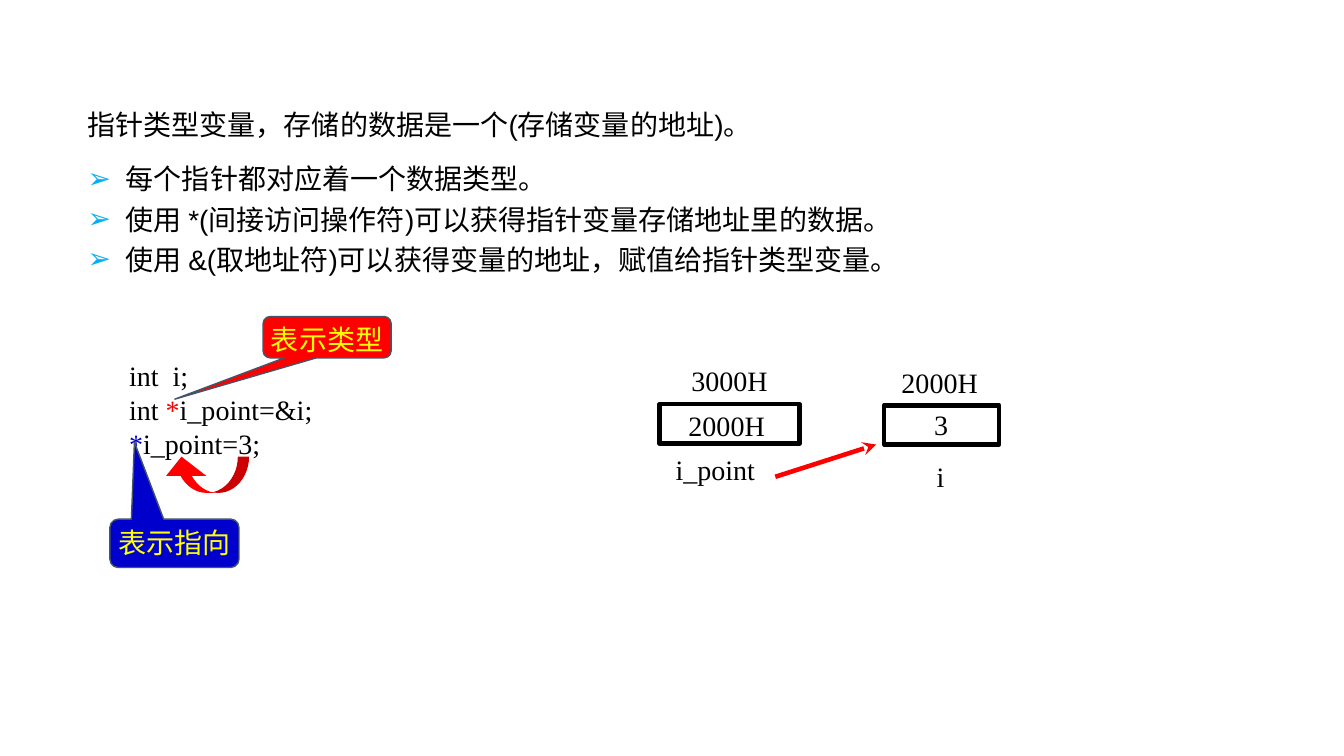
from dataclasses import dataclass

from lxml import etree
from pptx import Presentation
from pptx import util as u
from pptx.dml.color import RGBColor
from pptx.enum import shapes, text
from pptx.oxml import ns

COLORS = {
    "black": "000000",
    "red": "FF0000",
    "blue": "0000CC",
    "yellow": "FFFF00",
    "slate": "44546A",
    "sky": "00B0F0",
}
SERIF, SANS = "Times New Roman", "Arial"
TIGHT, ROOMY = (0.02, 0.01), (0.1, 0.05)
CENTER, LEFT = text.PP_ALIGN.CENTER, text.PP_ALIGN.LEFT


@dataclass
class Run:
    words: str
    color: str = "black"


@dataclass
class Para:
    runs: list[Run]
    bullet: bool = False
    before: float = 0


@dataclass
class Label:
    box: tuple[float, float, float, float]
    paras: list[Para]
    align: text.PP_ALIGN = LEFT
    spacing: float = 1.1
    inset: tuple[float, float] = TIGHT
    font: str = SERIF


@dataclass
class Callout:
    box: tuple[float, float, float, float]
    words: str
    fill: str
    tip: tuple[float, float]


def rgb(name: str) -> RGBColor:
    return RGBColor.from_string(COLORS[name])


def line_of(*words: str) -> list[Para]:
    return [Para([Run(w)]) for w in words]


def add_bullet(p) -> None:
    pPr = p._p.get_or_add_pPr()
    pPr.set("marL", str(u.Inches(0.38)))
    pPr.set("indent", str(u.Inches(-0.38)))
    color = etree.SubElement(pPr, ns.qn("a:buClr"))
    etree.SubElement(color, ns.qn("a:srgbClr")).set("val", COLORS["sky"])
    etree.SubElement(pPr, ns.qn("a:buFont")).set("typeface", SANS)
    etree.SubElement(pPr, ns.qn("a:buChar")).set("char", "➢")


def fill_text(sp, label: Label) -> None:
    tf = sp.text_frame
    tf.word_wrap = True
    tf.vertical_anchor = text.MSO_ANCHOR.TOP
    tf.margin_left = tf.margin_right = u.Inches(label.inset[0])
    tf.margin_top = tf.margin_bottom = u.Inches(label.inset[1])
    for i, para in enumerate(label.paras):
        p = tf.add_paragraph() if i else tf.paragraphs[0]
        if para.bullet:
            add_bullet(p)
        p.alignment = label.align
        p.line_spacing = label.spacing
        if para.before:
            p.space_before = u.Pt(para.before)
        for run in para.runs:
            r = p.add_run()
            r.text = run.words
            r.font.size = u.Pt(20)
            r.font.name = label.font
            r.font.color.rgb = rgb(run.color)


def add_label(s, label: Label) -> None:
    fill_text(s.shapes.add_textbox(*map(u.Inches, label.box)), label)


def add_figure(s, kind, box, fill: str = "", line: str = "", width: float = 1):
    sp = s.shapes.add_shape(kind, *map(u.Inches, box))
    sp.shadow.inherit = False
    if fill:
        sp.fill.solid()
        sp.fill.fore_color.rgb = rgb(fill)
    else:
        sp.fill.background()
    if line:
        sp.line.color.rgb = rgb(line)
        sp.line.width = u.Pt(width)
    else:
        sp.line.fill.background()
    return sp


def set_adjustments(sp, values) -> None:
    for i, value in enumerate(values):
        sp.adjustments[i] = value


def add_callout(s, c: Callout) -> None:
    kind = shapes.MSO_SHAPE.ROUNDED_RECTANGULAR_CALLOUT
    sp = add_figure(s, kind, c.box, c.fill, "slate")
    set_adjustments(sp, (*c.tip, 0.17))
    fill_text(sp, Label(c.box, [Para([Run(c.words, "yellow")])], CENTER))


def add_pointer_arrow(s) -> None:
    ends = map(u.Inches, (7.69, 4.73, 8.69, 4.41))
    cx = s.shapes.add_connector(shapes.MSO_CONNECTOR.STRAIGHT, *ends)
    cx.line.color.rgb = rgb("red")
    cx.line.width = u.Pt(3.25)
    etree.SubElement(cx.line._get_or_add_ln(), ns.qn("a:tailEnd")).set("type", "stealth")
    etree.SubElement(cx._element.spPr, ns.qn("a:effectLst"))


MEMORY_CELLS = [(6.54, 4.01, 1.39, 0.39), (8.77, 4.02, 1.14, 0.39)]

CODE = [
    Para([Run("int  i;")]),
    Para([Run("int "), Run("*", "red"), Run("i_point=&i;")]),
    Para([Run("*", "blue"), Run("i_point=3;")]),
]

NOTES = [
    Para([Run("指针类型变量，存储的数据是一个(存储变量的地址)。")]),
    Para([Run("每个指针都对应着一个数据类型。")], True, 10),
    Para([Run("使用 *(间接访问操作符)可以获得指针变量存储地址里的数据。")], True),
    Para([Run("使用 &(取地址符)可以获得变量的地址，赋值给指针类型变量。")], True),
]

LABELS = [
    Label((6.54, 3.56, 1.39, 0.39), line_of("3000H"), CENTER),
    Label((6.68, 4.45, 1.42, 0.39), line_of("i_point")),
    Label((8.69, 3.58, 1.26, 0.39), line_of("2000H"), CENTER),
    Label((9.27, 4.52, 0.4, 0.39), line_of("i")),
    Label((8.92, 3.93, 0.83, 0.5), line_of("3"), CENTER, 1.2, ROOMY),
    Label((6.73, 4, 1, 0.44), line_of("2000H"), spacing=1, inset=ROOMY),
    Label((1.26, 3.55, 2.72, 1.03), CODE, spacing=1),
    Label((0.77, 0.95, 9.69, 1.86), NOTES, spacing=1.2, inset=ROOMY, font=SANS),
]

CALLOUTS = [
    Callout((1.09, 5.15, 1.28, 0.48), "表示指向", "blue", (-0.31, -2.09)),
    Callout((2.61, 3.14, 1.27, 0.41), "表示类型", "red", (-1.19, 1.5)),
]


def main() -> None:
    prs = Presentation()
    prs.slide_width, prs.slide_height = u.Inches(13.33), u.Inches(7.5)
    s = prs.slides.add_slide(prs.slide_layouts[6])
    add_pointer_arrow(s)
    for box in MEMORY_CELLS:
        add_figure(s, shapes.MSO_SHAPE.RECTANGLE, box, line="black", width=3.25)
    for label in LABELS:
        add_label(s, label)
    assign = add_figure(s, shapes.MSO_SHAPE.CURVED_DOWN_ARROW, (1.6, 4.53, 0.87, 0.36), "red")
    assign.rotation = 180
    set_adjustments(assign, (0.31, 1.11, 0.53))
    for callout in CALLOUTS:
        add_callout(s, callout)
    prs.save("out.pptx")


if __name__ == "__main__":
    main()
